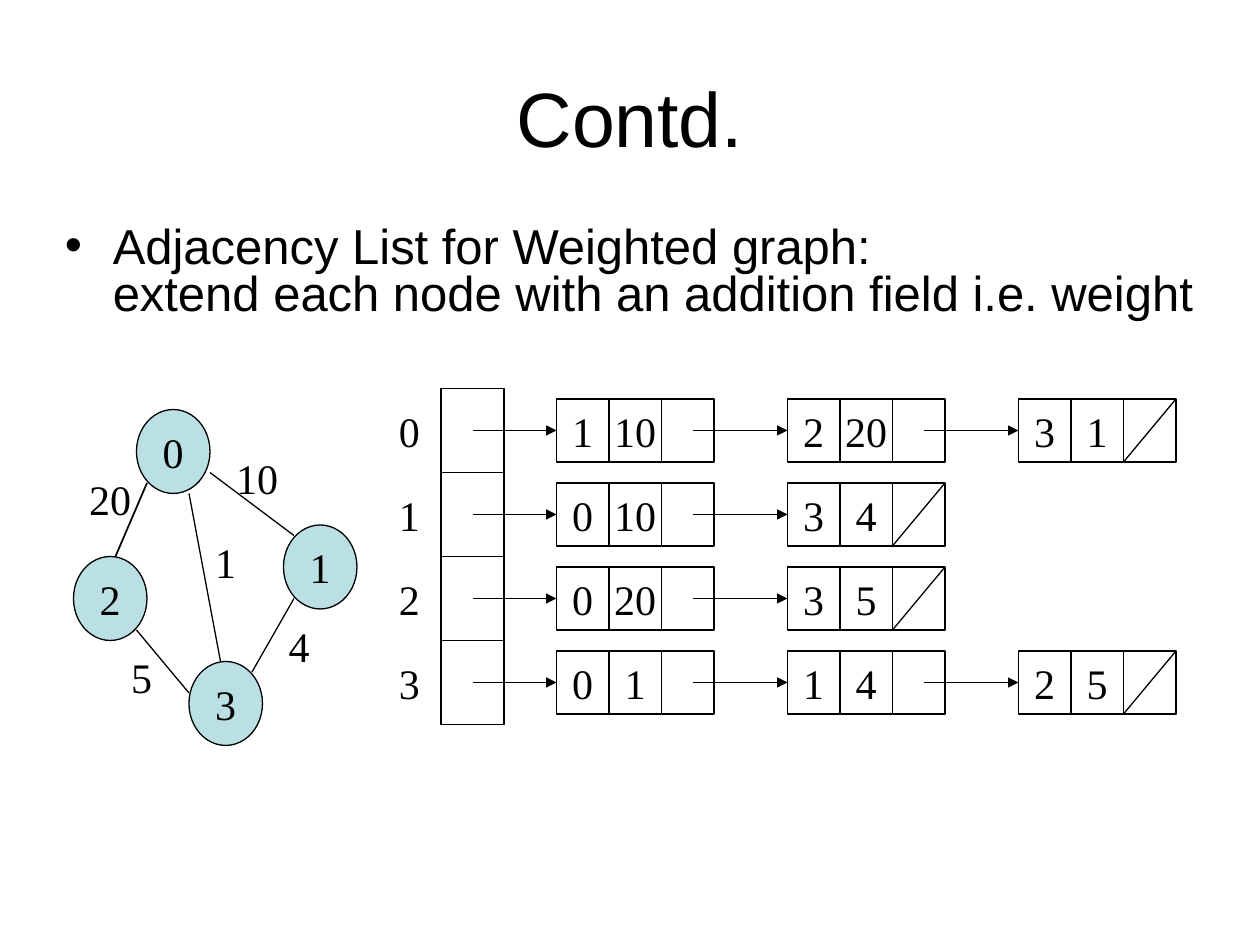
from typing import NamedTuple

from lxml import etree
from pptx import Presentation
from pptx.dml.color import RGBColor
from pptx.enum import shapes, text
from pptx.oxml import ns
from pptx.util import Inches, Length, Pt

BLACK = RGBColor(0, 0, 0)
TEAL = RGBColor(0xBB, 0xE0, 0xE3)
SANS, SERIF = "Arial", "Times New Roman"
RECT, OVAL = shapes.MSO_SHAPE.RECTANGLE, shapes.MSO_SHAPE.OVAL

# Places and sizes below count twelfths of an inch.
ROW = 8      # from one list to the next
STEP = 22    # from one list node to the next
CELL = 5     # width of one field in a list node


class Node(NamedTuple):
    name: str
    x: int
    y: int


class Edge(NamedTuple):
    x1: float
    y1: float
    x2: float
    y2: float
    wide: float = 0.75


class Label(NamedTuple):
    name: str
    x: int
    y: int


NODES = [Node("0", 13, 39), Node("1", 27, 50), Node("3", 18, 63), Node("2", 7, 53)]
EDGES = [
    Edge(14, 46, 11, 53, 1),
    Edge(13, 60, 18, 66),
    Edge(20, 45, 28, 51),
    Edge(28, 57, 24, 64),
    Edge(18, 47, 21, 63),
]
LABELS = [
    Label("20", 8, 45),
    Label("10", 22, 43),
    Label("1", 19, 51),
    Label("5", 11, 62),
    Label("4", 26, 59),
]
# Each list holds pairs of neighbour and weight.
LISTS = [
    [("1", "10"), ("2", "20"), ("3", "1")],
    [("0", "10"), ("3", "4")],
    [("0", "20"), ("3", "5")],
    [("0", "1"), ("1", "4"), ("2", "5")],
]


def grid(*vals: float) -> list[Length]:
    return [Inches(val / 12) for val in vals]


def write(shape, words: str, *, size=24, font=SERIF, wrap=False, bullet=False,
          align=text.PP_ALIGN.CENTER, anchor=text.MSO_ANCHOR.MIDDLE) -> None:
    frame = shape.text_frame
    frame.word_wrap = wrap
    frame.vertical_anchor = anchor
    if not wrap:
        frame.margin_left = frame.margin_right = Inches(0)
    para = frame.paragraphs[0]
    para.text = words
    para.alignment = align
    if bullet:
        para.line_spacing = 0.8
        props = para._p.get_or_add_pPr()
        props.set("marL", str(Inches(0.38)))
        props.set("indent", str(Inches(-0.38)))
        etree.SubElement(props, ns.qn("a:buFont"), typeface=SANS)
        etree.SubElement(props, ns.qn("a:buChar"), char="•")
    para.font.size = Pt(size)
    para.font.name = font
    para.font.color.rgb = BLACK


def note(slide, words: str, x: float, y: float, w: float, h: float, **form) -> None:
    write(slide.shapes.add_textbox(*grid(x, y, w, h)), words, **form)


def box(slide, kind, x: float, y: float, w: float, h: float, words="", fill=None):
    shape = slide.shapes.add_shape(kind, *grid(x, y, w, h))
    shape.shadow.inherit = False
    if fill is None:
        shape.fill.background()
    else:
        shape.fill.solid()
        shape.fill.fore_color.rgb = fill
    shape.line.color.rgb = BLACK
    shape.line.width = Pt(0.75)
    if words:
        write(shape, words)
    return shape


def link(slide, edge: Edge, goal=None) -> None:
    """Draw a line; with a goal, make it an arrow joined to the goal's left side."""
    line = slide.shapes.add_connector(
        shapes.MSO_CONNECTOR.STRAIGHT, *grid(edge.x1, edge.y1, edge.x2, edge.y2))
    line.line.color.rgb = BLACK
    line.line.width = Pt(edge.wide)
    if goal is not None:
        line.end_connect(goal, 1)
        etree.SubElement(line.line._get_or_add_ln(), ns.qn("a:tailEnd"), type="triangle")
    etree.SubElement(line._element.spPr, ns.qn("a:effectLst"))


def graph(slide) -> None:
    for node in NODES:
        box(slide, OVAL, node.x, node.y, 7, 8, node.name, TEAL)
    for edge in EDGES:
        link(slide, edge)
    for label in LABELS:
        note(slide, label.name, label.x, label.y, 5, 5)


def chain(slide, row: int, pairs: list[tuple[str, str]]) -> None:
    """Draw one row of the adjacency list: index, head slot and linked nodes."""
    top = 37 + row * ROW
    mid = top + ROW / 2
    note(slide, str(row), 36, top, 6, ROW)
    box(slide, RECT, 42, top, 6, ROW)
    start = 45
    for i, pair in enumerate(pairs):
        left = 53 + i * STEP
        cells = [box(slide, RECT, left + j * CELL, top + 1, CELL, 6, words)
                 for j, words in enumerate((*pair, ""))]
        link(slide, Edge(start, mid, left, mid), cells[0])
        start = left + 13
    link(slide, Edge(left + 3 * CELL, top + 1, left + 2 * CELL, top + 7))


def main() -> None:
    deck = Presentation()
    deck.slide_width, deck.slide_height = Inches(10), Inches(7.5)
    slide = deck.slides.add_slide(deck.slide_layouts[6])
    note(slide, "Contd.", 6, 3.6, 108, 15, size=44, font=SANS, wrap=True)
    note(slide, "Adjacency List for Weighted graph:\n"
         "extend each node with an addition field i.e. weight",
         5, 21, 111, 11, size=28, font=SANS, wrap=True, bullet=True,
         align=text.PP_ALIGN.LEFT, anchor=text.MSO_ANCHOR.TOP)
    graph(slide)
    for row, pairs in enumerate(LISTS):
        chain(slide, row, pairs)
    deck.save("out.pptx")


if __name__ == "__main__":
    main()
